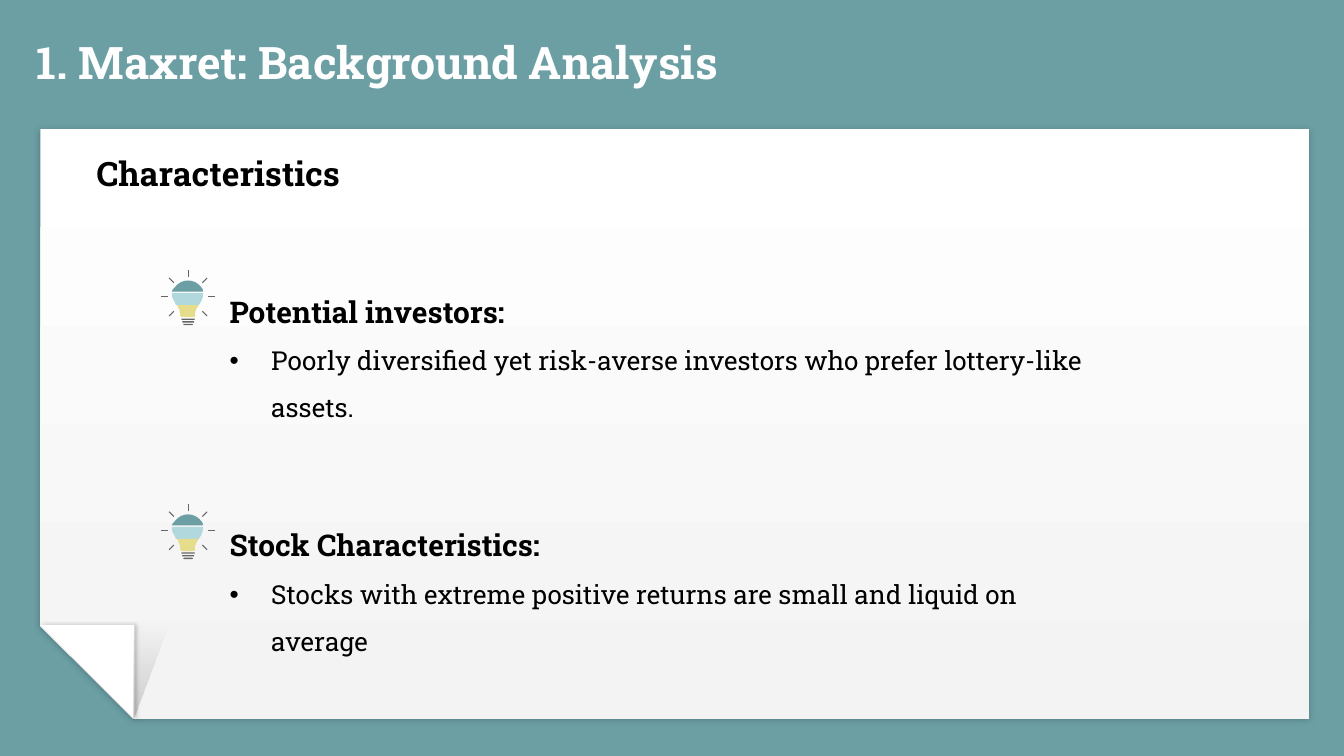
from math import cos, radians, sin

from lxml import etree
from pptx import Presentation
from pptx.dml.color import RGBColor
from pptx.enum.shapes import MSO_SHAPE as Shape
from pptx.enum.text import MSO_ANCHOR as Anchor, MSO_AUTO_SIZE as AutoSize, PP_ALIGN as Align
from pptx.oxml.ns import qn
from pptx.util import Inches, Pt

FONT = "Roboto Slab"
COLORS = {
    "teal": "6B9FA4", "aqua": "B1D9DD", "yellow": "E6DD8C", "gray": "666666",
    "white": "FFFFFF", "mist": "F3F3F3", "black": "000000",
}

# Bulb outlines in inches: a lone point is a line end, three points are a cubic curve.
BULB_PARTS = [
    ("teal", (0.32, 0.16), [
        [(0.32, 0.15), (0.32, 0.14), (0.31, 0.13)],
        [(0.26, 0.06), (0.16, 0.06), (0.11, 0.13)],
        [(0.1, 0.14), (0.09, 0.15), (0.09, 0.16)]]),
    ("aqua", (0.09, 0.19), [
        [(0.09, 0.21), (0.11, 0.23), (0.12, 0.26)],
        [(0.29, 0.26)],
        [(0.31, 0.23), (0.32, 0.21), (0.32, 0.19)],
        [(0.32, 0.17)], [(0.09, 0.17)]]),
    ("yellow", (0.13, 0.26), [
        [(0.13, 0.27), (0.14, 0.28), (0.14, 0.29)],
        [(0.15, 0.3), (0.15, 0.32), (0.15, 0.33)],
        [(0.15, 0.34), (0.16, 0.35), (0.17, 0.35)],
        [(0.24, 0.35)],
        [(0.26, 0.35), (0.27, 0.34), (0.26, 0.33)],
        [(0.26, 0.31), (0.27, 0.3), (0.27, 0.29)],
        [(0.28, 0.28), (0.28, 0.27), (0.29, 0.26)]]),
]


def rgb(name):
    return RGBColor.from_string(COLORS[name])


def finish(shape, color=None):
    shape.shadow.inherit = False
    shape.line.fill.background()
    if color:
        shape.fill.solid()
        shape.fill.fore_color.rgb = rgb(color)
    return shape


def add_preset(shapes, kind, left, top, width, height, color=None, rotation=0):
    shape = shapes.add_shape(kind, Inches(left), Inches(top), Inches(width), Inches(height))
    shape.rotation = rotation
    return finish(shape, color)


def add_outline(shapes, left, top, points, color):
    emu = [(Inches(left + x), Inches(top + y)) for x, y in points]
    builder = shapes.build_freeform(*emu[0])
    builder.add_line_segments(emu[1:], close=True)
    return finish(builder.convert_to_shape(), color)


def trace(start, segments, steps=8):
    """Return the points of an outline, with its cubic curves sampled."""
    points = [start]
    for segment in segments:
        if len(segment) == 1:
            points += segment
            continue
        ends = list(zip(points[-1], *segment))
        for step in range(1, steps + 1):
            t = step / steps
            u = 1 - t
            points.append(tuple(
                a * u**3 + 3 * b * u * u * t + 3 * c * u * t * t + d * t**3
                for a, b, c, d in ends))
    return points


def set_gradient(shape, colors, angle, opacities=()):
    shape.fill.gradient()
    shape.fill.gradient_angle = angle
    for stop, color in zip(shape.fill.gradient_stops, colors):
        stop.color.rgb = rgb(color)
    for node, opacity in zip(shape._element.spPr.iter(qn("a:srgbClr")), opacities):
        etree.SubElement(node, qn("a:alpha"), val=str(opacity * 1000))


def add_shadow(shape, blur, direction):
    effects = shape._element.spPr.find(qn("a:effectLst"))
    shadow = etree.SubElement(
        effects, qn("a:outerShdw"), blurRad=str(Pt(blur)), dist=str(Pt(0.8)),
        dir=str(direction * 60000), algn="bl", rotWithShape="0")
    color = etree.SubElement(shadow, qn("a:srgbClr"), val=COLORS["black"])
    etree.SubElement(color, qn("a:alpha"), val="20000")


def write(para, text, size, color="black", bold=False, spacing=None, bullet=False):
    para.alignment = Align.LEFT
    para.line_spacing = spacing
    span = para.add_run()
    span.text = text
    span.font.name = FONT
    span.font.size = Pt(size)
    span.font.bold = bold
    span.font.color.rgb = rgb(color)
    if bullet:
        props = para._p.get_or_add_pPr()
        indent = Inches(0.31)
        props.set("marL", str(indent))
        props.set("indent", str(-indent))
        etree.SubElement(props, qn("a:buFont"), typeface="Arial")
        etree.SubElement(props, qn("a:buChar"), char="•")


def add_text_box(page, left, top, width, height, wrap=True):
    box = page.shapes.add_textbox(Inches(left), Inches(top), Inches(width), Inches(height))
    box.text_frame.word_wrap = wrap
    return box.text_frame


def set_title(page, text, left, top, width, height):
    title = page.shapes.title
    title.left, title.top = Inches(left), Inches(top)
    title.width, title.height = Inches(width), Inches(height)
    frame = title.text_frame
    frame.margin_left = frame.margin_right = frame.margin_top = frame.margin_bottom = 0
    frame.vertical_anchor = Anchor.BOTTOM
    frame.auto_size = AutoSize.NONE
    write(frame.paragraphs[0], text, 24, "white", bold=True)


def add_paper(page, left, top, width, height, fold=0.7):
    """Draw the sheet with its bottom-left corner folded up."""
    group = page.shapes.add_group_shape().shapes
    sheet = add_preset(group, Shape.SNIP_1_RECTANGLE, left, top, width, height, rotation=180)
    sheet.adjustments[0] = 0.158
    set_gradient(sheet, ("white", "mist"), 90)
    add_shadow(sheet, 3.4, 90)

    fold_top = top + height - fold
    flap = add_preset(group, Shape.RIGHT_TRIANGLE, left, fold_top, fold, fold, "white", 180)
    add_shadow(flap, 2.2, 0)
    shade = add_preset(group, Shape.RIGHT_TRIANGLE, left + fold - 0.01, fold_top, 0.26, fold,
                       rotation=180)
    shade._element.spPr.find(qn("a:xfrm")).set("flipH", "1")
    set_gradient(shade, ("black", "black"), 270, opacities=(17, 0))


def add_bulb(page, left, top):
    group = page.shapes.add_group_shape().shapes
    for color, start, segments in BULB_PARTS:
        add_outline(group, left, top, trace(start, segments), color)

    center_x, center_y, half = 0.21, 0.2, 0.004
    for angle in range(-45, 226, 45):
        dx, dy = cos(radians(angle)), -sin(radians(angle))
        corners = ((0.15, -half), (0.2, -half), (0.2, half), (0.15, half))
        ray = [(center_x + r * dx - s * dy, center_y + r * dy + s * dx) for r, s in corners]
        add_outline(group, left, top, ray, "gray")

    for row, width in enumerate((0.1, 0.09, 0.07)):
        bar = add_preset(group, Shape.ROUNDED_RECTANGLE, left + center_x - width / 2,
                         top + 0.36 + row * 0.02, width, 0.01, "gray")
        bar.adjustments[0] = 0.5


def add_point(page, left, top, width, heading, detail):
    """Place a bulb with a heading and one bulleted line beside it."""
    add_bulb(page, left, top + 0.01)
    frame = add_text_box(page, left + 0.42, top, width, 0.82)
    write(frame.paragraphs[0], heading, 16, bold=True, spacing=1.5)
    write(frame.add_paragraph(), detail, 14, spacing=1.5, bullet=True)


def main():
    deck = Presentation()
    deck.slide_width = Inches(10)
    deck.slide_height = Inches(10 * 9 / 16)
    page = deck.slides.add_slide(deck.slide_layouts[5])
    page.background.fill.solid()
    page.background.fill.fore_color.rgb = rgb("teal")

    add_paper(page, 0.3, 0.96, 9.44, 4.39)
    set_title(page, "1. Maxret: Background Analysis", 0.27, 0.09, 9.19, 0.57)
    heading = add_text_box(page, 0.62, 1.09, 2.12, 0.4, wrap=False)
    write(heading.paragraphs[0], "Characteristics", 18, bold=True)
    add_point(page, 1.19, 2, 7.15, "Potential investors:",
              "Poorly diversified yet risk-averse investors who prefer lottery-like assets.")
    add_point(page, 1.19, 3.74, 6.7, "Stock Characteristics:",
              "Stocks with extreme positive returns are small and liquid on average")
    deck.save("out.pptx")


if __name__ == "__main__":
    main()
